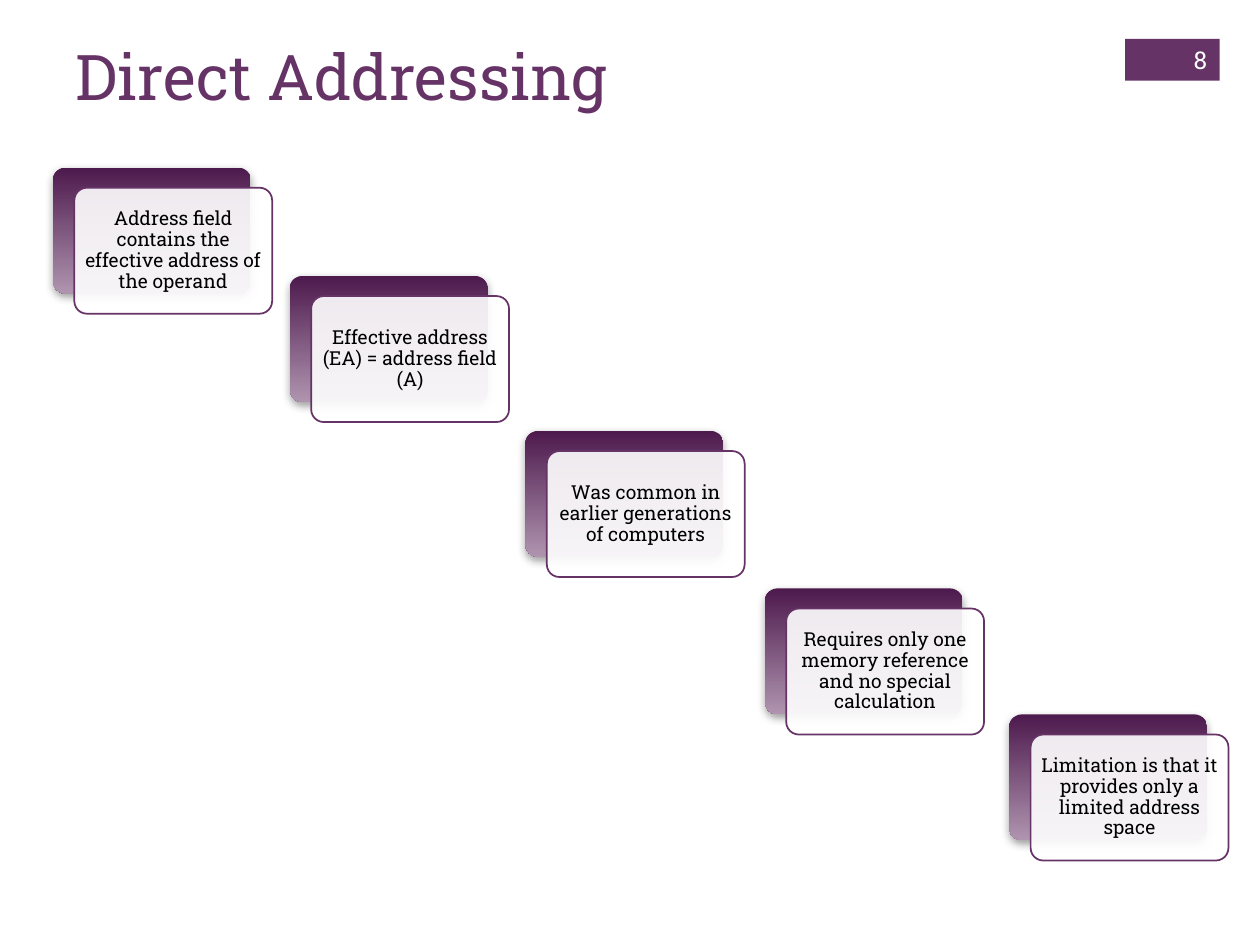
from lxml.etree import SubElement
from pptx import Presentation
from pptx.dml.color import RGBColor
from pptx.enum.shapes import MSO_SHAPE
from pptx.enum.text import MSO_ANCHOR, PP_ALIGN
from pptx.oxml import parse_xml
from pptx.oxml.ns import nsdecls, qn
from pptx.util import Inches, Pt

FONT = "Roboto Slab"
COLORS = {
    "purple": "663366",
    "dark": "4D1A4D",
    "light": "AF94AF",
    "shadow": "808080",
    "white": "FFFFFF",
    "black": "000000",
}
CARD_W, CARD_H = 1.57, 1
OFFSET_X, OFFSET_Y = 0.17, 0.16
CARDS = [
    (0.42, 1.33, "Address field contains the effective address of the operand"),
    (2.3, 2.19, "Effective address (EA) = address field (A)"),
    (4.17, 3.42, "Was common in earlier generations of computers"),
    (6.07, 4.67, "Requires only one memory reference and no special calculation"),
    (8.01, 5.67, "Limitation is that it provides only a limited address space"),
]


def add_box(shapes, kind, x, y, w, h):
    s = shapes.add_shape(kind, Inches(x), Inches(y), Inches(w), Inches(h))
    s.shadow.inherit = False
    s.line.fill.background()
    if kind == MSO_SHAPE.ROUNDED_RECTANGLE:
        s.adjustments[0] = 0.1
    return s


def set_text(s, text, size, color, align, anchor):
    tf = s.text_frame
    tf.text = text
    tf.word_wrap = True
    tf.vertical_anchor = anchor
    p = tf.paragraphs[0]
    p.alignment = align
    font = p.runs[0].font
    font.name = FONT
    font.size = Pt(size)
    font.color.rgb = RGBColor.from_string(COLORS[color])
    return tf


prs = Presentation()
prs.slide_width, prs.slide_height = Inches(10), Inches(7.5)
slide = prs.slides.add_slide(prs.slide_layouts[5])

title = slide.shapes.title
title.left, title.top = Inches(0.5), Inches(0.25)
title.width, title.height = Inches(8.26), Inches(1.22)
set_text(title, "Direct Addressing", 36, "purple", PP_ALIGN.LEFT, MSO_ANCHOR.TOP)

number = add_box(slide.shapes, MSO_SHAPE.RECTANGLE, 8.93, 0.31, 0.75, 0.33)
number.fill.solid()
number.fill.fore_color.rgb = RGBColor.from_string(COLORS["purple"])
tf = set_text(number, "8", 14, "white", PP_ALIGN.RIGHT, MSO_ANCHOR.MIDDLE)
tf.margin_top = tf.margin_bottom = 0

for x, y, text in CARDS:
    group = slide.shapes.add_group_shape()

    back = add_box(group.shapes, MSO_SHAPE.ROUNDED_RECTANGLE, x, y, CARD_W, CARD_H)
    back.fill.gradient()
    back.fill.gradient_angle = 270
    for stop, position, color in zip(back.fill.gradient_stops, (0, 1), ("dark", "light")):
        stop.position = position
        stop.color.rgb = RGBColor.from_string(COLORS[color])
    back._element.spPr.find(qn("a:effectLst")).append(parse_xml(
        f'<a:outerShdw {nsdecls("a")} blurRad="{Pt(5)}" dist="{Pt(2)}" dir="5400000" '
        f'rotWithShape="0"><a:srgbClr val="{COLORS["shadow"]}">'
        '<a:alpha val="75000"/></a:srgbClr></a:outerShdw>'
    ))

    card = add_box(group.shapes, MSO_SHAPE.ROUNDED_RECTANGLE,
                   x + OFFSET_X, y + OFFSET_Y, CARD_W, CARD_H)
    card.fill.solid()
    card.fill.fore_color.rgb = RGBColor.from_string(COLORS["white"])
    white = card._element.spPr.find(qn("a:solidFill")).find(qn("a:srgbClr"))
    SubElement(white, qn("a:alpha")).set("val", "90000")
    card.line.color.rgb = RGBColor.from_string(COLORS["purple"])
    card.line.width = Pt(1)
    tf = set_text(card, text, 11, "black", PP_ALIGN.CENTER, MSO_ANCHOR.MIDDLE)
    tf.margin_left = tf.margin_right = Inches(0.05)
    tf.margin_top = tf.margin_bottom = Inches(0.05)
    tf.paragraphs[0].line_spacing = 0.9

prs.save("out.pptx")
